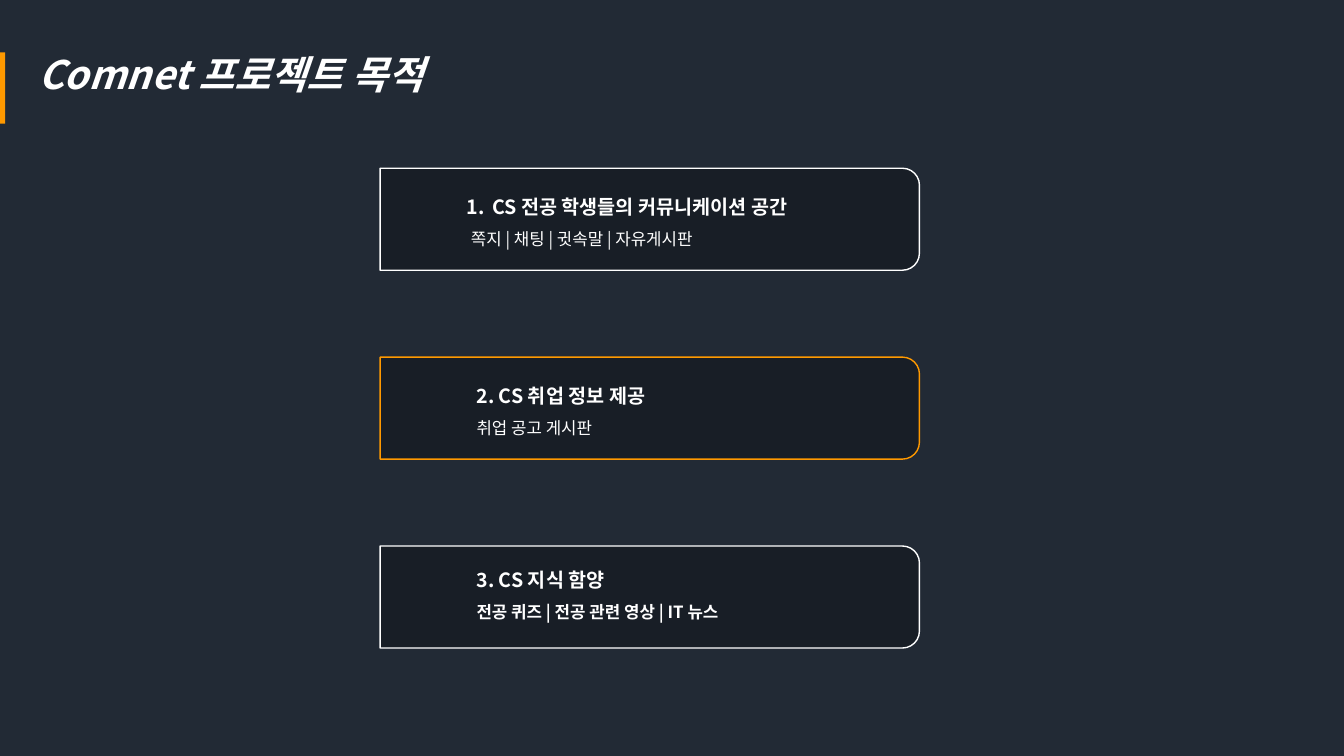
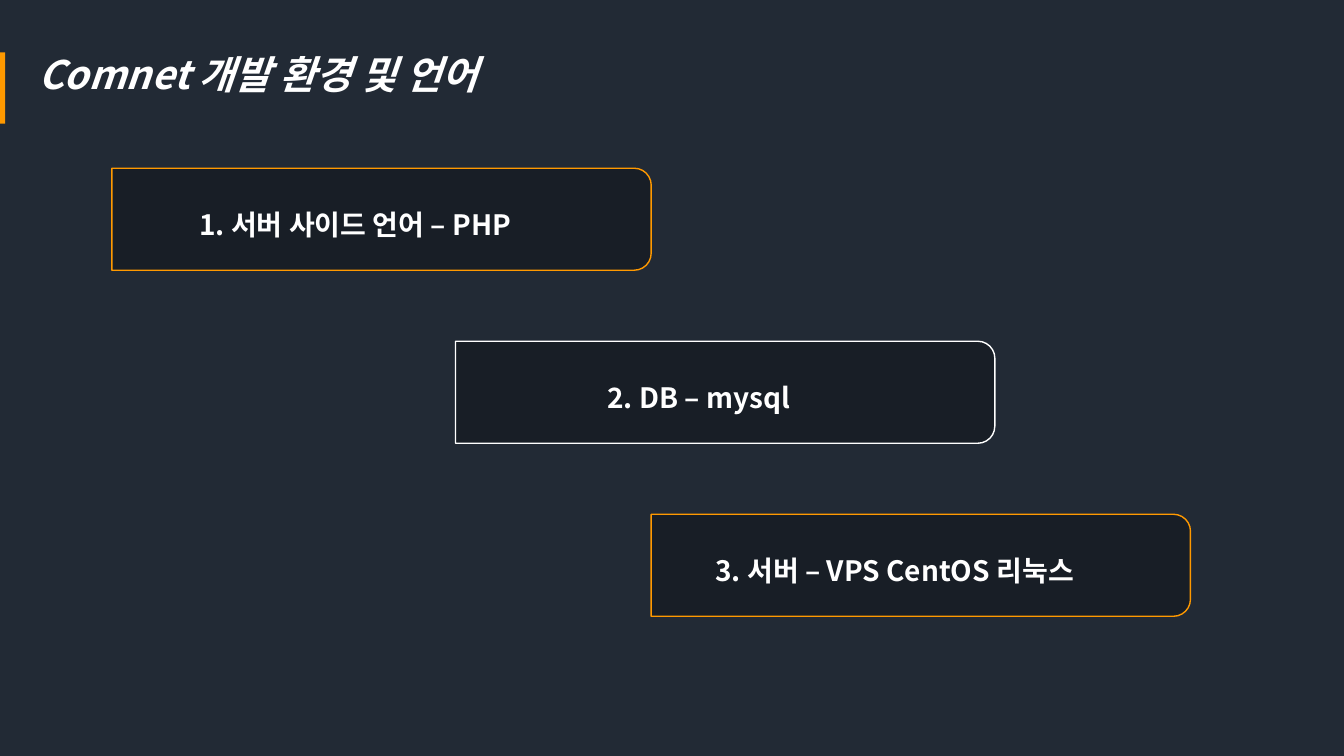
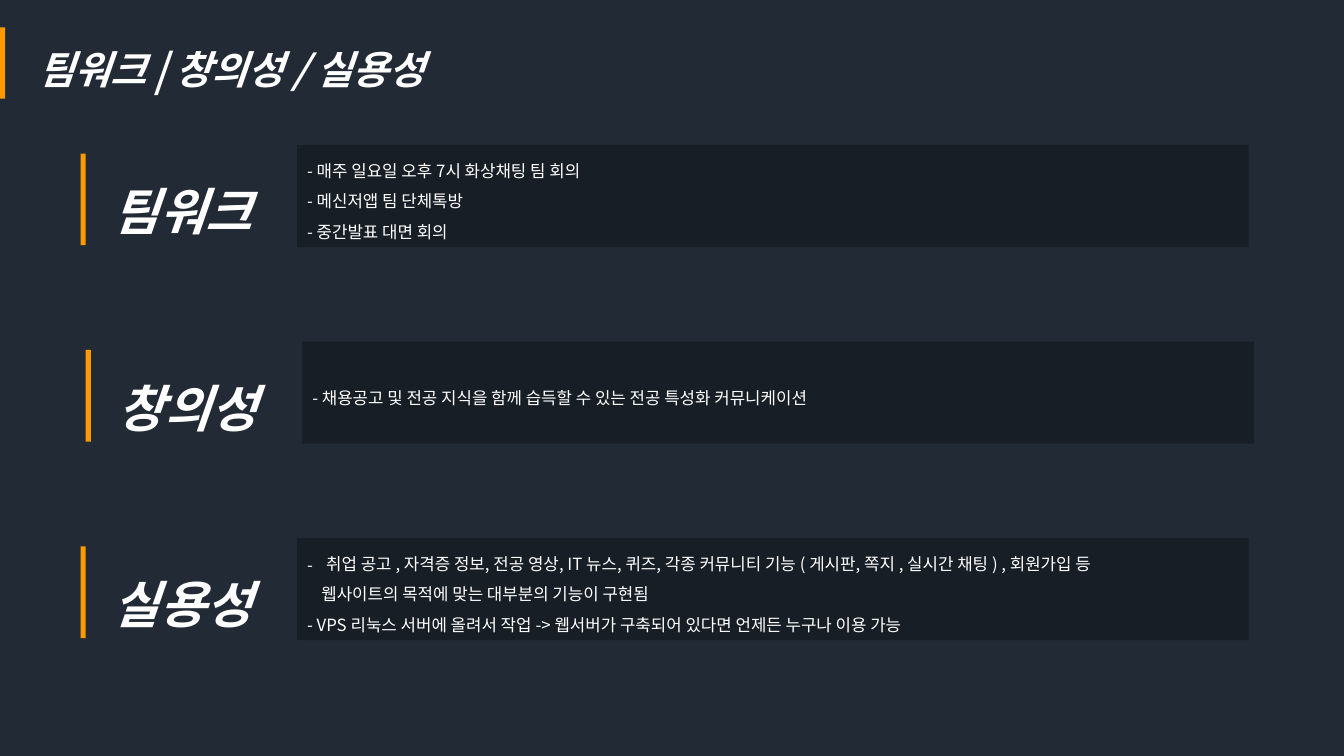
from dataclasses import dataclass
from lxml.etree import SubElement
from pptx import Presentation
from pptx.dml.color import RGBColor
from pptx.enum.shapes import MSO_SHAPE
from pptx.enum.text import MSO_ANCHOR, MSO_AUTO_SIZE, PP_ALIGN
from pptx.oxml.ns import qn
from pptx.shapes.autoshape import Shape
from pptx.slide import Slide
from pptx.text.text import TextFrame
from pptx.util import Cm, Pt

FONT = "Noto Sans CJK KR"
HUES = {"back": "222A35", "panel": "181E26", "white": "FFFFFF", "gold": "FF9900"}
TOP = 4.24
WIDE, HIGH = 13.59, 2.57


@dataclass
class Goal:
    head: str
    note: str
    hue: str
    left: float = 11.76
    drop: float = 0.25
    bold: bool = False
    auto: bool = False
    pad: float = 0


@dataclass
class Tool:
    text: str
    hue: str
    left: float
    auto: bool = False


@dataclass
class Item:
    text: str
    pad: float = 0
    hang: float = 0
    mark: str = ""


@dataclass
class Value:
    name: str
    items: list[Item]
    shift: float = 0


GOALS = [
    Goal("CS 전공 학생들의 커뮤니케이션 공간", "쪽지 | 채팅 | 귓속말 | 자유게시판",
         "white", left=11.51, auto=True, pad=0.11),
    Goal("2. CS 취업 정보 제공", "취업 공고 게시판", "gold"),
    Goal("3. CS 지식 함양", "전공 퀴즈 | 전공 관련 영상 | IT 뉴스",
         "white", drop=0.13, bold=True),
]
TOOLS = [
    Tool("서버 사이드 언어 – PHP", "gold", 2.82, auto=True),
    Tool("2. DB – mysql", "white", 11.48),
    Tool("3. 서버 – VPS CentOS 리눅스", "gold", 16.41),
]
VALUES = [
    Value("팀워크", [
        Item("- 매주 일요일 오후 7시 화상채팅 팀 회의"),
        Item("- 메신저앱 팀 단체톡방"),
        Item("- 중간발표 대면 회의"),
    ]),
    Value("창의성", [
        Item("- 채용공고 및 전공 지식을 함께 습득할 수 있는 전공 특성화 커뮤니케이션"),
    ], shift=0.13),
    Value("실용성", [
        Item("취업 공고 , 자격증 정보, 전공 영상, IT 뉴스, 퀴즈, 각종 커뮤니티 기능 "
             "( 게시판, 쪽지 , 실시간 채팅 ) , 회원가입 등", 0.48, 0.48, "-"),
        Item("웹사이트의 목적에 맞는 대부분의 기능이 구현됨", pad=0.36),
        Item("- VPS 리눅스 서버에 올려서 작업 -> 웹서버가 구축되어 있다면 "
             "언제든 누구나 이용 가능"),
    ]),
]


def color(name: str) -> RGBColor:
    return RGBColor.from_string(HUES[name])


def write(frame: TextFrame, text: str, *, size: float, bold: bool = False,
          slant: bool = False, align: PP_ALIGN = PP_ALIGN.LEFT,
          pad: float = 0, hang: float = 0, mark: str = "") -> None:
    para = frame.paragraphs[0] if not frame.text else frame.add_paragraph()
    para.alignment = align
    para.line_spacing = 1.5
    props = para._p.get_or_add_pPr()
    if pad:
        props.set("marL", str(Cm(pad)))
        props.set("indent", str(-Cm(hang)))
    if mark:
        SubElement(props, qn("a:buFont")).set("typeface", FONT)
    if mark == "1.":
        SubElement(props, qn("a:buAutoNum")).set("type", "arabicPeriod")
    elif mark:
        SubElement(props, qn("a:buChar")).set("char", mark)
    run = para.add_run()
    run.text = text
    font = run.font
    font.name, font.size = FONT, Pt(size)
    font.bold, font.italic = bold, slant
    font.color.rgb = color("white")
    SubElement(run._r.get_or_add_rPr(), qn("a:ea")).set("typeface", FONT)


def label(slide: Slide, left: float, top: float, wide: float, high: float) -> TextFrame:
    frame = slide.shapes.add_textbox(Cm(left), Cm(top), Cm(wide), Cm(high)).text_frame
    frame.word_wrap = True
    frame.auto_size = MSO_AUTO_SIZE.SHAPE_TO_FIT_TEXT
    return frame


def block(slide: Slide, left: float, top: float, wide: float, high: float,
          hue: str, kind: MSO_SHAPE = MSO_SHAPE.RECTANGLE) -> Shape:
    shape = slide.shapes.add_shape(kind, Cm(left), Cm(top), Cm(wide), Cm(high))
    shape.shadow.inherit = False
    shape.fill.solid()
    shape.fill.fore_color.rgb = color(hue)
    shape.line.fill.background()
    return shape


def panel(slide: Slide, left: float, top: float, hue: str) -> None:
    turn = (WIDE - HIGH) / 2
    shape = block(slide, left + turn, top - turn, HIGH, WIDE, "panel",
                  MSO_SHAPE.ROUND_2_SAME_RECTANGLE)
    shape.rotation = 90
    shape.adjustments[0] = 0.166
    shape.adjustments[1] = 0
    shape.line.color.rgb = color(hue)
    shape.line.width = Pt(1)


def start(deck: Presentation, title: str, top: float = 0.56, tab: float = 1.32) -> Slide:
    slide = deck.slides.add_slide(deck.slide_layouts[6])
    write(label(slide, 0.71, top, 15.32, 1.83), title, size=28, bold=True, slant=True)
    block(slide, 0, tab, 0.13, 1.8, "gold")
    return slide


def goals(deck: Presentation) -> None:
    slide = start(deck, "Comnet 프로젝트 목적")
    for row, goal in enumerate(GOALS):
        top = TOP + row * 4.76
        panel(slide, 9.58, top, goal.hue)
        frame = label(slide, goal.left, top + goal.drop, 10.41, 1.83)
        hang = 0.64 if goal.auto else 0
        write(frame, goal.head, size=14, bold=True, pad=hang, hang=hang,
              mark="1." if goal.auto else "")
        write(frame, goal.note, size=12, bold=goal.bold, pad=goal.pad)


def tools(deck: Presentation) -> None:
    slide = start(deck, "Comnet 개발 환경 및 언어")
    for row, tool in enumerate(TOOLS):
        top = TOP + row * 4.36
        panel(slide, tool.left, top, tool.hue)
        frame = label(slide, tool.left + 0.93, top + 0.45, 10.41, 1.37)
        hang = 0.8 if tool.auto else 0
        write(frame, tool.text, size=20, bold=True, align=PP_ALIGN.CENTER,
              pad=hang, hang=hang, mark="1." if tool.auto else "")


def values(deck: Presentation) -> None:
    slide = start(deck, "팀워크 | 창의성 / 실용성", 0.43, 0.69)
    for row, value in enumerate(VALUES):
        top = 3.66 + row * 4.95
        frame = block(slide, 7.49 + value.shift, top, 23.98, HIGH, "panel").text_frame
        frame.word_wrap = True
        frame.vertical_anchor = MSO_ANCHOR.MIDDLE
        for item in value.items:
            write(frame, item.text, size=12, pad=item.pad, hang=item.hang, mark=item.mark)
        name = label(slide, 2.59 + value.shift, top, 4.45, 2.26)
        write(name, value.name, size=36, bold=True, slant=True)
        block(slide, 2.03 + value.shift, top + 0.21, 0.13, 2.31, "gold")


def main() -> None:
    deck = Presentation()
    deck.slide_width, deck.slide_height = Cm(33.87), Cm(19.05)
    fill = deck.slide_master.background.fill
    fill.solid()
    fill.fore_color.rgb = color("back")
    goals(deck)
    tools(deck)
    values(deck)
    deck.save("out.pptx")


if __name__ == "__main__":
    main()
